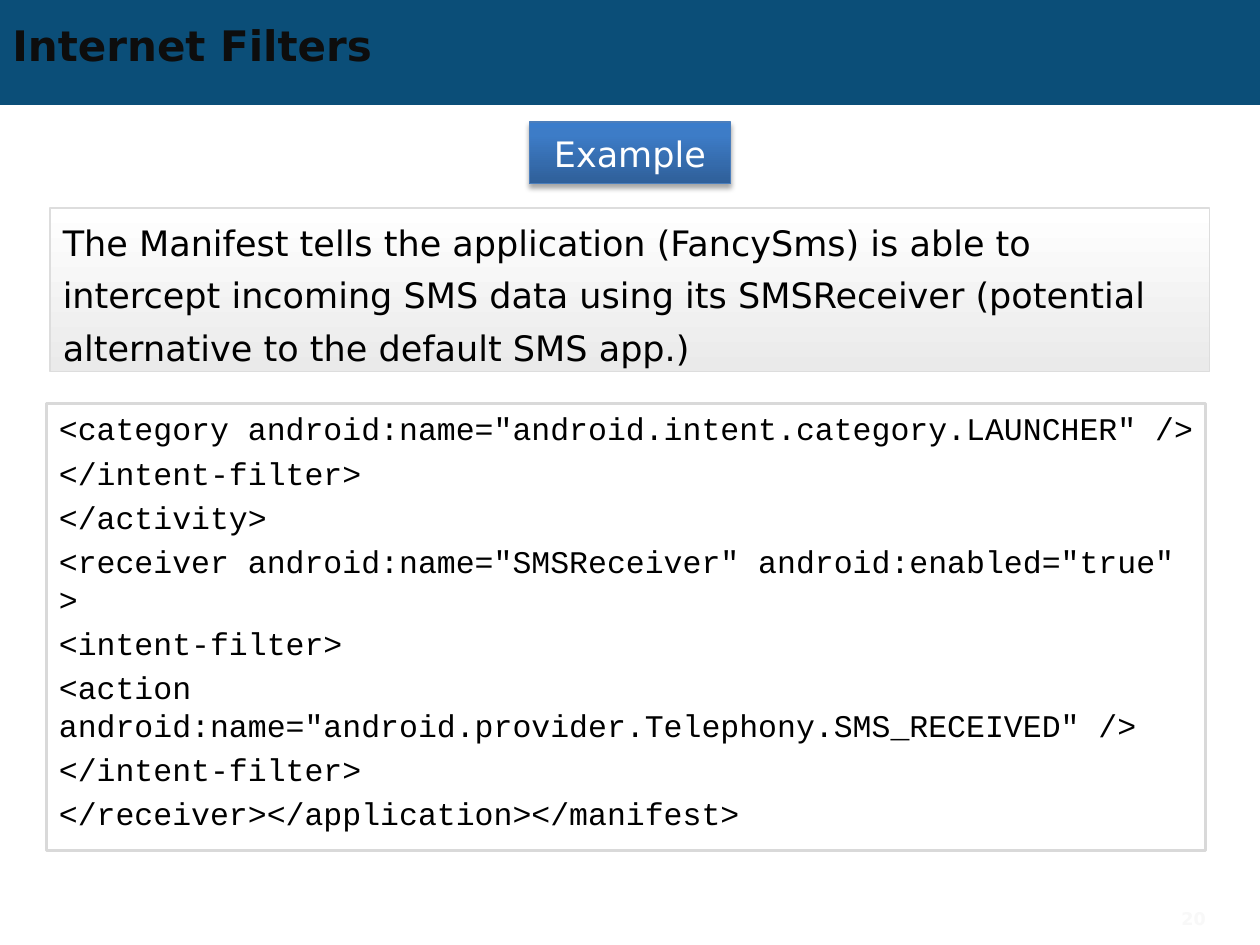
import pptx
import pptx.util
import pptx.dml.color
import pptx.enum.shapes
import pptx.enum.text
import pptx.oxml
import pptx.oxml.ns

Pt = pptx.util.Pt
ALIGN = pptx.enum.text.PP_ALIGN
ANCHOR = pptx.enum.text.MSO_ANCHOR
NAMESPACE = pptx.oxml.ns.nsdecls("a")

TITLE = "Internet Filters"
LABEL = "Example"
NOTE = (
    "The Manifest tells the application (FancySms) is able to intercept incoming "
    "SMS data using its SMSReceiver (potential alternative to the default SMS app.)"
)
CODE = [
    '<category android:name="android.intent.category.LAUNCHER" />',
    "</intent‐filter>",
    "</activity>",
    '<receiver android:name="SMSReceiver" android:enabled="true" >',
    "<intent‐filter>",
    '<action android:name="android.provider.Telephony.SMS_RECEIVED" />',
    "</intent‐filter>",
    "</receiver></application></manifest>",
]
PAGE_NUMBER = "20"

SLIDE_WIDTH, SLIDE_HEIGHT = 720, 540
PANEL_WIDTH = 662.4
LABEL_WIDTH = 115.2
SANS, MONO = "DejaVu Sans", "Courier New"


def color(value):
    return pptx.dml.color.RGBColor.from_string(value)


def add_box(slide, left, top, width, height, fill=None, line=None, line_width=1):
    shape = slide.shapes.add_shape(
        pptx.enum.shapes.MSO_SHAPE.RECTANGLE, Pt(left), Pt(top), Pt(width), Pt(height)
    )
    shape.shadow.inherit = False
    if fill:
        shape.fill.solid()
        shape.fill.fore_color.rgb = color(fill)
    else:
        shape.fill.background()
    if line:
        shape.line.color.rgb = color(line)
        shape.line.width = Pt(line_width)
    else:
        shape.line.fill.background()
    return shape


def set_text(shape, lines, size, font_color, font=SANS, bold=False,
             align=ALIGN.LEFT, anchor=ANCHOR.MIDDLE, before=None, spacing=None):
    frame = shape.text_frame
    frame.text = "\n".join(lines)
    frame.word_wrap = True
    frame.vertical_anchor = anchor
    for paragraph in frame.paragraphs:
        paragraph.alignment = align
        if before:
            paragraph.space_before = Pt(before)
        if spacing:
            paragraph.line_spacing = Pt(spacing)
        for run in paragraph.runs:
            run.font.name = font
            run.font.size = Pt(size)
            run.font.bold = bold
            run.font.color.rgb = color(font_color)


def set_gradient(shape, stops, angle):
    stop_xml = "".join(
        f'<a:gs pos="{position * 1000}"><a:srgbClr val="{value}"/></a:gs>'
        for position, value in stops
    )
    gradient = pptx.oxml.parse_xml(
        f'<a:gradFill {NAMESPACE} rotWithShape="1"><a:gsLst>{stop_xml}</a:gsLst>'
        f'<a:lin ang="{angle * 60000}" scaled="0"/></a:gradFill>'
    )
    properties = shape.element.spPr
    old_fill = properties.find(pptx.oxml.ns.qn("a:noFill"))
    properties.replace(old_fill, gradient)


def set_shadow(shape, value, opacity, blur, distance, angle):
    effects = shape.element.spPr.find(pptx.oxml.ns.qn("a:effectLst"))
    effects.append(pptx.oxml.parse_xml(
        f'<a:outerShdw {NAMESPACE} blurRad="{Pt(blur)}" dist="{Pt(distance)}" '
        f'dir="{angle * 60000}" rotWithShape="0"><a:srgbClr val="{value}">'
        f'<a:alpha val="{opacity * 1000}"/></a:srgbClr></a:outerShdw>'
    ))


def add_text(slide, left, top, width, height, text, **style):
    box = slide.shapes.add_textbox(Pt(left), Pt(top), Pt(width), Pt(height))
    set_text(box, [text], **style)


def main():
    presentation = pptx.Presentation()
    presentation.slide_width = Pt(SLIDE_WIDTH)
    presentation.slide_height = Pt(SLIDE_HEIGHT)
    slide = presentation.slides.add_slide(presentation.slide_layouts[6])

    add_box(slide, 0, 0, SLIDE_WIDTH, 60, fill="0B4E78")
    add_text(slide, 0, 10, 648, 31, TITLE, size=24, font_color="0D0D0D", bold=True)

    code = add_box(slide, 26.6, 230.4, PANEL_WIDTH, 255.6, line="D9D9D9", line_width=1.5)
    set_text(code, CODE, 18, "000000", font=MONO, anchor=ANCHOR.TOP, before=3.6)

    note = add_box(slide, (SLIDE_WIDTH - PANEL_WIDTH) / 2, 118.8, PANEL_WIDTH, 93.6,
                   line="DDDDDD")
    set_gradient(note, [(0, "FFFFFF"), (100, "EAEAEA")], 90)
    set_text(note, [NOTE], 20, "000000", spacing=30)

    label = add_box(slide, (SLIDE_WIDTH - LABEL_WIDTH) / 2, 69.8, LABEL_WIDTH, 35.3,
                    line="4B7EBC", line_width=0.75)
    set_gradient(label, [(0, "2F5F99"), (80, "3D7CC7"), (100, "3A7CCB")], 270)
    set_shadow(label, "000000", opacity=35, blur=3.1, distance=1.8, angle=90)
    set_text(label, [LABEL], 20, "FFFFFF", align=ALIGN.CENTER)

    add_text(slide, 636, 515, 60, 20, PAGE_NUMBER, size=10, font_color="F8F8F8",
             bold=True, align=ALIGN.RIGHT)

    presentation.save("out.pptx")


if __name__ == "__main__":
    main()
